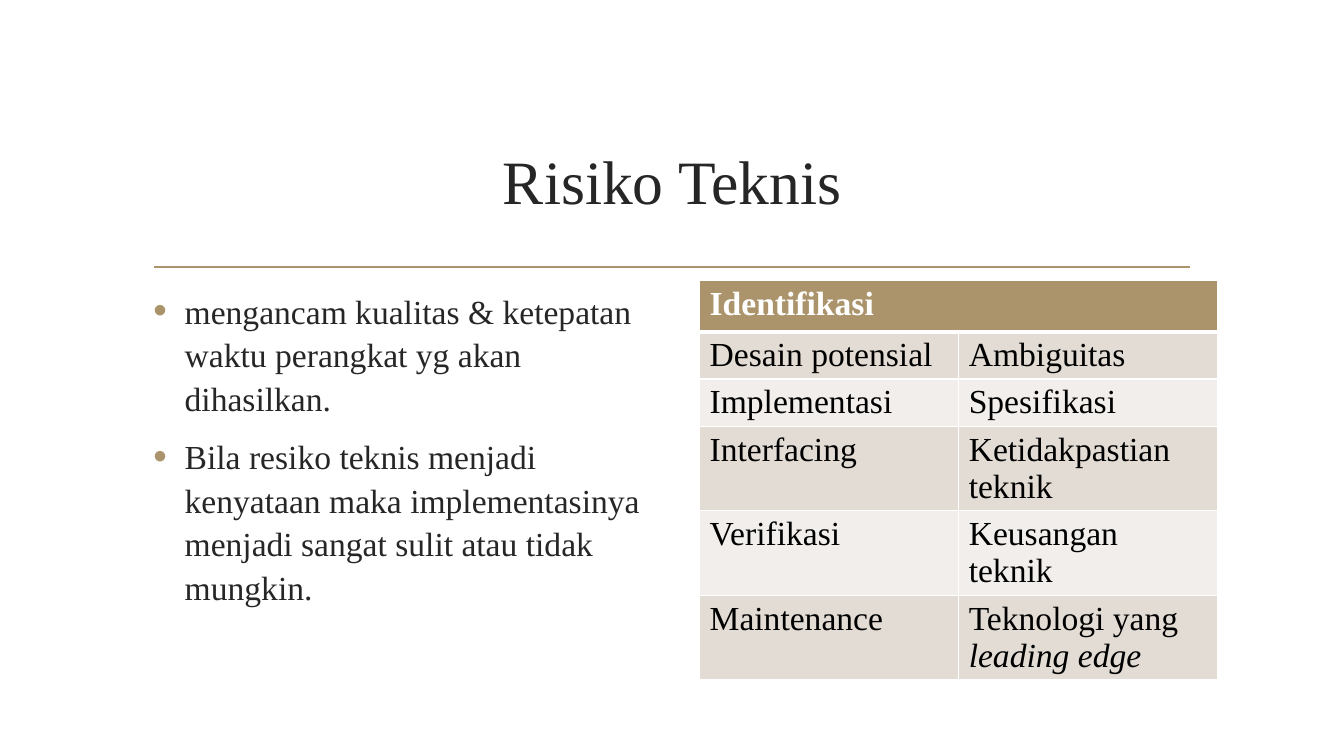
import pptx
import pptx.dml.color
import pptx.enum.shapes
import pptx.enum.text
import pptx.oxml
import pptx.oxml.ns
import pptx.util
from pptx.util import Cm

RGBColor = pptx.dml.color.RGBColor
TAN = RGBColor(0xAB, 0x94, 0x6B)
INK = RGBColor(0x26, 0x26, 0x26)
BLACK = RGBColor(0, 0, 0)
WHITE = RGBColor(0xFF, 0xFF, 0xFF)
BANDS = (RGBColor(0xE2, 0xDC, 0xD4), RGBColor(0xF1, 0xEE, 0xEB))
FONT = "Times New Roman"
NS = pptx.oxml.ns.nsdecls("a")

POINTS = (
    "mengancam kualitas & ketepatan waktu perangkat yg akan dihasilkan.",
    "Bila resiko teknis menjadi kenyataan maka implementasinya menjadi sangat sulit atau tidak mungkin.",
)
RISKS = (
    ("Desain potensial", "Ambiguitas"),
    ("Implementasi", "Spesifikasi"),
    ("Interfacing", "Ketidakpastian teknik"),
    ("Verifikasi", "Keusangan teknik"),
    ("Maintenance", "Teknologi yang "),
)


def add_text(p, text, size=24, color=INK, bold=False, italic=False):
    """Add a formatted run to a paragraph."""
    r = p.add_run()
    r.text = text
    r.font.name = FONT
    r.font.size = pptx.util.Pt(size)
    r.font.bold = bold
    r.font.italic = italic
    r.font.color.rgb = color


def place(sp, left, top, width, height, anchor):
    """Move a placeholder and return its text frame."""
    sp.left, sp.top, sp.width, sp.height = left, top, width, height
    tf = sp.text_frame
    tf.word_wrap = True
    tf.auto_size = pptx.enum.text.MSO_AUTO_SIZE.NONE
    tf.vertical_anchor = anchor
    return tf


def add_bullet(p):
    """Give a paragraph a tan bullet with a hanging indent."""
    pPr = p._p.get_or_add_pPr()
    pPr.set("marL", str(Cm(0.79)))
    pPr.set("indent", str(-Cm(0.79)))
    for xml in (
        f'<a:buClr {NS}><a:srgbClr val="{TAN}"/></a:buClr>',
        f'<a:buSzPct {NS} val="115000"/>',
        f'<a:buFont {NS} typeface="Arial"/>',
        f'<a:buChar {NS} char="•"/>',
    ):
        pPr.append(pptx.oxml.parse_xml(xml))


def add_bullets(tf, points):
    """Fill a text frame with bulleted paragraphs."""
    for i, point in enumerate(points):
        p = tf.paragraphs[0] if i == 0 else tf.add_paragraph()
        p.line_spacing = 1.08
        p.space_before = pptx.util.Pt(4.8)
        p.space_after = pptx.util.Pt(6)
        add_bullet(p)
        add_text(p, point)


def add_rule(slide, left, right, y):
    """Draw the horizontal rule under the title."""
    line = slide.shapes.add_connector(
        pptx.enum.shapes.MSO_CONNECTOR.STRAIGHT, left, y, right, y)
    line.line.color.rgb = TAN
    line.line.width = pptx.util.Pt(1.25)
    line._element.spPr.append(pptx.oxml.parse_xml(f"<a:effectLst {NS}/>"))


def style_cell(cell, fill, top=1, bottom=1):
    """Fill a cell and give it white borders."""
    cell.fill.solid()
    cell.fill.fore_color.rgb = fill
    tcPr = cell._tc.get_or_add_tcPr()
    for i, (side, width) in enumerate(
            (("L", 1), ("R", 1), ("T", top), ("B", bottom))):
        tcPr.insert(i, pptx.oxml.parse_xml(
            f'<a:ln{side} {NS} w="{pptx.util.Pt(width)}"><a:solidFill>'
            f'<a:srgbClr val="{WHITE}"/></a:solidFill></a:ln{side}>'))


def add_risk_table(slide, left, top, width, height):
    """Add the table of identified technical risks."""
    sp = slide.shapes.add_table(len(RISKS) + 1, 2, left, top, width, height)
    table = sp.table
    table.horz_banding = False
    for i, row in enumerate(table.rows):
        row.height = Cm(1.04 if i else 1.3)
    sp.height = height
    header = table.cell(0, 0)
    header.merge(table.cell(0, 1))
    for cell in table.rows[0].cells:
        style_cell(cell, TAN, bottom=3)
    add_text(header.text_frame.paragraphs[0], "Identifikasi", color=WHITE, bold=True)
    for i, risks in enumerate(RISKS):
        for j, risk in enumerate(risks):
            cell = table.cell(i + 1, j)
            style_cell(cell, BANDS[i % 2], top=1 if i else 3)
            add_text(cell.text_frame.paragraphs[0], risk, color=BLACK)
    add_text(cell.text_frame.paragraphs[0], "leading edge", color=BLACK, italic=True)


def main():
    """Build and save the slide."""
    prs = pptx.Presentation()
    prs.slide_width, prs.slide_height = Cm(33.87), Cm(19.05)
    slide = prs.slides.add_slide(prs.slide_layouts[1])
    anchor = pptx.enum.text.MSO_ANCHOR
    add_rule(slide, Cm(3.89), Cm(30), Cm(6.73))
    tf = place(slide.shapes.title, Cm(3.61), Cm(2.72), Cm(26.67), Cm(3.63), anchor.MIDDLE)
    p = tf.paragraphs[0]
    p.alignment = pptx.enum.text.PP_ALIGN.CENTER
    add_text(p, "Risiko Teknis", size=44)
    tf = place(slide.placeholders[1], Cm(3.61), Cm(7.11), Cm(13.11), Cm(9.19), anchor.TOP)
    add_bullets(tf, POINTS)
    add_risk_table(slide, Cm(17.63), Cm(7.06), Cm(13.06), Cm(9.68))
    prs.save("out.pptx")


if __name__ == "__main__":
    main()
